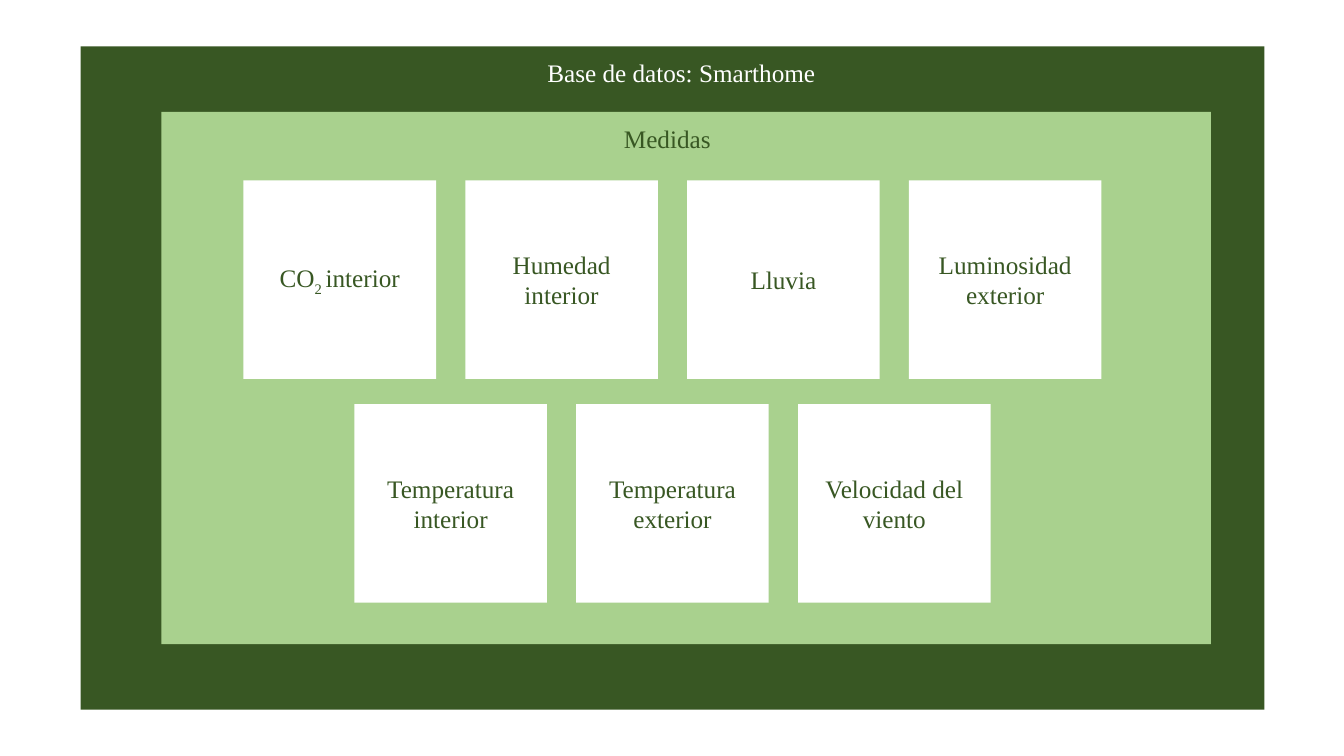
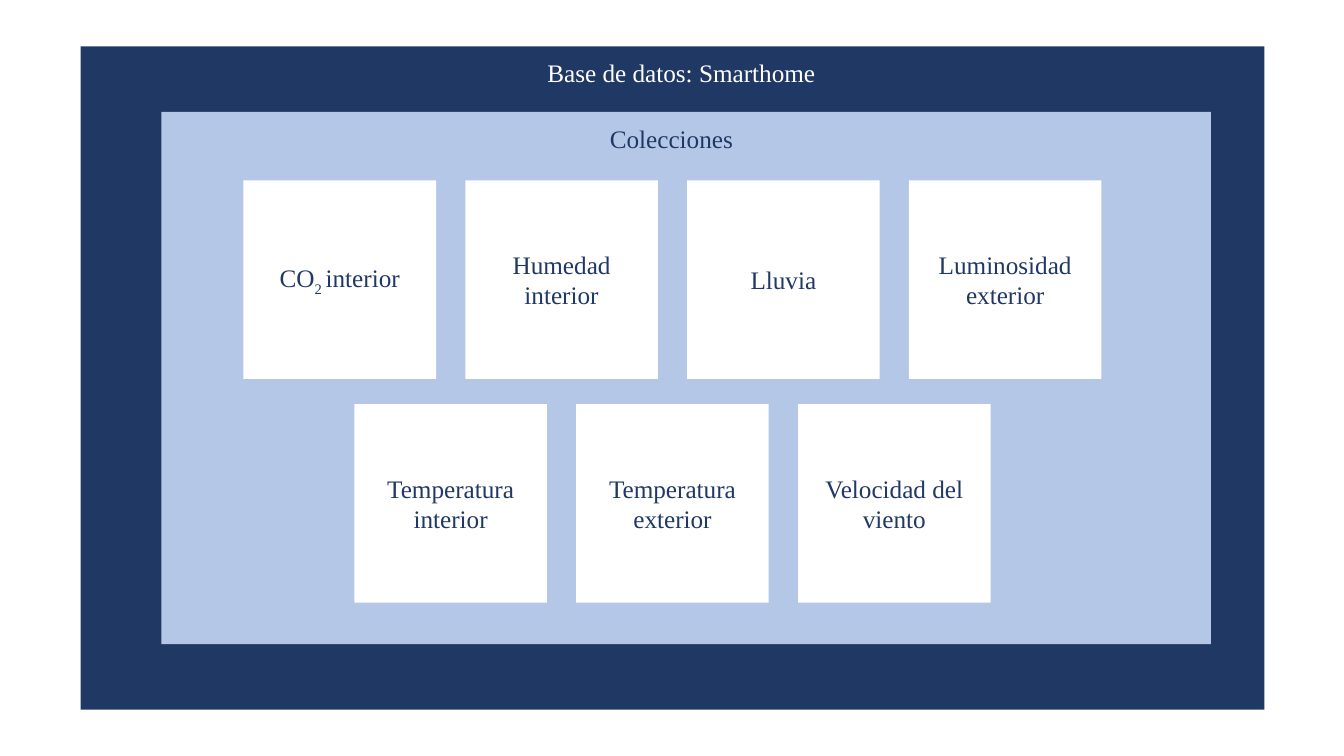
from dataclasses import dataclass

from pptx import Presentation
from pptx.dml.color import RGBColor
from pptx.enum.shapes import MSO_SHAPE
from pptx.enum.text import MSO_ANCHOR, MSO_AUTO_SIZE, PP_ALIGN
from pptx.util import Inches, Pt


@dataclass(frozen=True)
class Theme:
    dark: str
    light: str
    white: str = "FFFFFF"
    font: str = "Times New Roman"
    size: int = 18


@dataclass(frozen=True)
class Box:
    left: float
    top: float
    width: float
    height: float

    def inner(self, dx, dy, width, height):
        return Box(self.left + dx, self.top + dy, width, height)

    def lengths(self):
        return [Inches(v) for v in (self.left, self.top, self.width, self.height)]


GREEN = Theme(dark="385723", light="A9D18E")
BLUE = Theme(dark="203864", light="B4C7E7")

DATABASE = Box(0.8, 0.46, 11.74, 6.58)
CARD_WIDTH, CARD_HEIGHT = 1.91, 1.97
COLUMN_GAP, ROW_GAP = 0.29, 0.25
SUBSCRIPT = "-25000"
MEASUREMENT_ROWS = [
    [("CO", "2 ", "interior"), ("Humedad interior",), ("Lluvia",), ("Luminosidad exterior",)],
    [("Temperatura interior",), ("Temperatura exterior",), ("Velocidad del viento",)],
]


def style_run(run, theme, color):
    run.font.name = theme.font
    run.font.size = Pt(theme.size)
    run.font.color.rgb = RGBColor.from_string(color)


def add_panel(slide, box, color):
    panel = slide.shapes.add_shape(MSO_SHAPE.RECTANGLE, *box.lengths())
    panel.shadow.inherit = False
    panel.fill.solid()
    panel.fill.fore_color.rgb = RGBColor.from_string(color)
    panel.line.fill.background()
    return panel


def add_heading(slide, box, text, theme, color):
    frame = slide.shapes.add_textbox(*box.lengths()).text_frame
    frame.word_wrap = False
    frame.auto_size = MSO_AUTO_SIZE.SHAPE_TO_FIT_TEXT
    frame.text = text
    style_run(frame.paragraphs[0].runs[0], theme, color)


def add_card(slide, box, label, theme):
    frame = add_panel(slide, box, theme.white).text_frame
    frame.vertical_anchor = MSO_ANCHOR.MIDDLE
    paragraph = frame.paragraphs[0]
    paragraph.alignment = PP_ALIGN.CENTER
    for part in label:
        run = paragraph.add_run()
        run.text = part
        style_run(run, theme, theme.dark)
        if part.strip().isdigit():
            run.font._element.set("baseline", SUBSCRIPT)


def add_card_rows(slide, box, theme):
    for row, labels in enumerate(MEASUREMENT_ROWS):
        row_width = len(labels) * (CARD_WIDTH + COLUMN_GAP) - COLUMN_GAP
        row_left = (box.width - row_width) / 2
        for column, label in enumerate(labels):
            card = box.inner(
                row_left + column * (CARD_WIDTH + COLUMN_GAP),
                row * (CARD_HEIGHT + ROW_GAP),
                CARD_WIDTH,
                CARD_HEIGHT,
            )
            add_card(slide, card, label, theme)


def add_database_slide(deck, box, theme, group, group_left, group_width):
    slide = deck.slides.add_slide(deck.slide_layouts[6])
    add_panel(slide, box, theme.dark)
    add_panel(slide, box.inner(0.8, 0.65, 10.41, 5.28), theme.light)
    add_heading(slide, box.inner(4.53, 0.06, 2.95, 0.4),
                "Base de datos: Smarthome", theme, theme.white)
    add_card_rows(slide, box.inner(0, 1.33, box.width, 4.19), theme)
    add_heading(slide, box.inner(group_left, 0.71, group_width, 0.4),
                group, theme, theme.dark)


deck = Presentation()
deck.slide_width = Inches(13.33)
deck.slide_height = Inches(7.5)
add_database_slide(deck, DATABASE, GREEN, "Medidas", 5.29, 1.07)
add_database_slide(deck, DATABASE, BLUE, "Colecciones", 5.15, 1.44)
deck.save("out.pptx")
